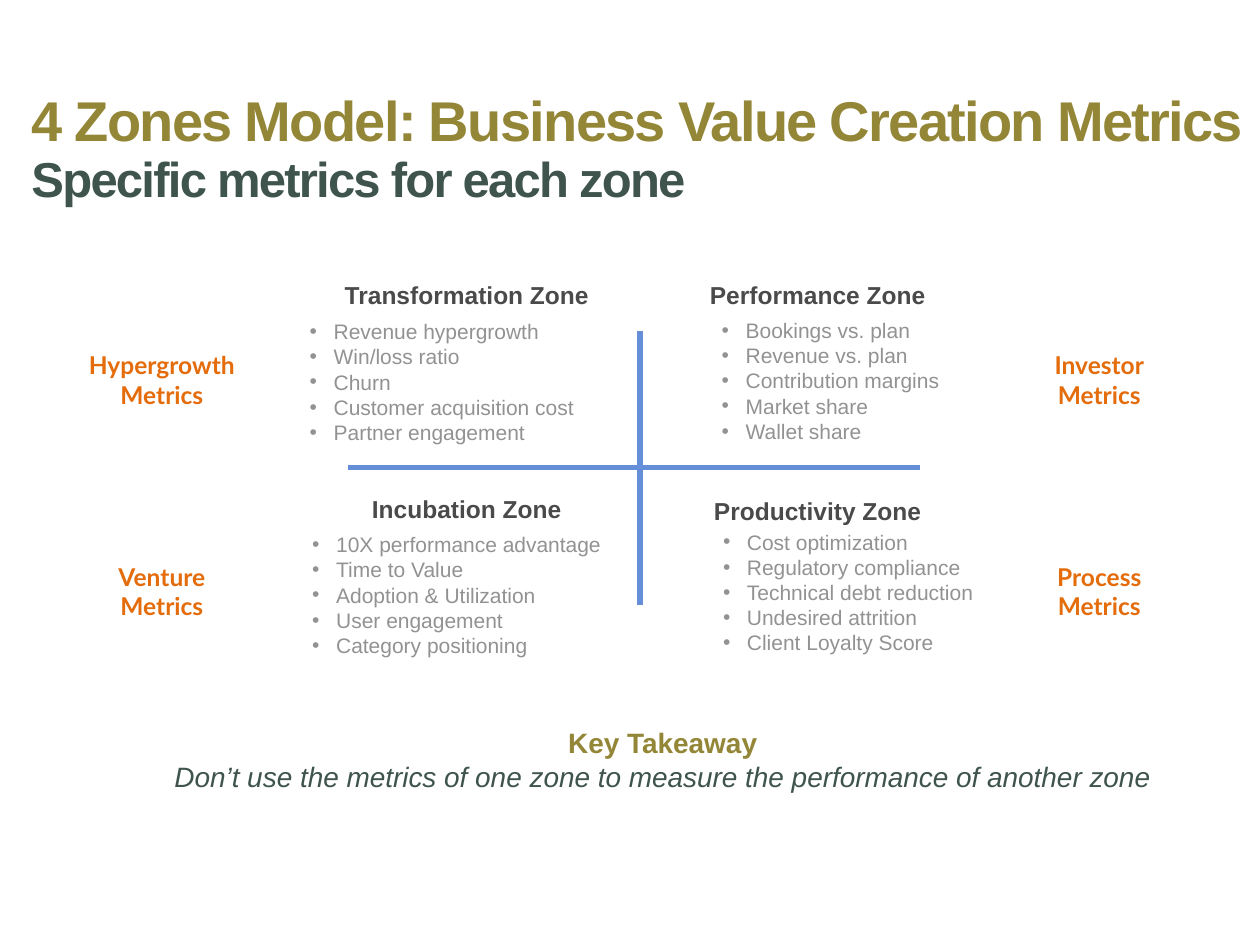
import dataclasses

import lxml.etree
import pptx
import pptx.dml.color
import pptx.enum.shapes
import pptx.enum.text
import pptx.oxml.ns
import pptx.util

ALIGN = pptx.enum.text.PP_ALIGN


@dataclasses.dataclass(frozen=True)
class Theme:
    sans: str = "Arial"
    accent_font: str = "Lato"
    olive: str = "938636"
    green: str = "3E544D"
    dark: str = "4A4A4A"
    gray: str = "929292"
    orange: str = "E46C0A"
    blue: str = "648ED8"
    white: str = "FFFFFF"
    title: int = 32
    subtitle: int = 28
    takeaway: int = 16
    heading: int = 14
    body: int = 12


def rgb(value):
    return pptx.dml.color.RGBColor.from_string(value)


def add_xml(parent, tag, **attributes):
    return lxml.etree.SubElement(parent, pptx.oxml.ns.qn(tag), **attributes)


class SlideBuilder:
    """Draws on a grid of 100 columns by 75 rows."""

    def __init__(self, presentation, theme):
        self.theme = theme
        self.column = presentation.slide_width / 100
        self.row = presentation.slide_height / 75
        self.slide = presentation.slides.add_slide(presentation.slide_layouts[6])

    def place(self, left, top, width, height):
        return (round(left * self.column), round(top * self.row),
                round(width * self.column), round(height * self.row))

    def text_box(self, left, top, width, height, wrap=True):
        box = self.slide.shapes.add_textbox(*self.place(left, top, width, height))
        box.text_frame.word_wrap = wrap
        return box

    def paragraph(self, box, index, align=ALIGN.LEFT):
        frame = box.text_frame
        paragraph = frame.add_paragraph() if index else frame.paragraphs[0]
        paragraph.alignment = align
        return paragraph

    def run(self, paragraph, text, size, color, bold=False, italic=False, name=None):
        run = paragraph.add_run()
        run.text = text
        run.font.name = name or self.theme.sans
        run.font.size = pptx.util.Pt(size)
        run.font.color.rgb = rgb(color)
        run.font.bold = bold
        run.font.italic = italic
        return run

    def title(self, title, subtitle):
        theme = self.theme
        box = self.text_box(2, 7.1, 98, 9)
        frame = box.text_frame
        frame.margin_left = frame.margin_right = pptx.util.Inches(0.05)
        lines = ((title, theme.title, theme.olive, 0),
                 (subtitle, theme.subtitle, theme.green, 2.5))
        for index, (text, size, color, space) in enumerate(lines):
            paragraph = self.paragraph(box, index)
            paragraph.line_spacing = 0.85
            paragraph.space_before = pptx.util.Pt(space)
            run = self.run(paragraph, text, size, color, bold=True)
            run.font._element.set("spc", "-100")

    def axis(self, start, end):
        points = self.place(*start, *end)
        line = self.slide.shapes.add_connector(
            pptx.enum.shapes.MSO_CONNECTOR.STRAIGHT, *points)
        line.line.color.rgb = rgb(self.theme.blue)
        line.line.width = pptx.util.Pt(3)
        add_xml(line._element.spPr, "a:effectLst")

    def heading(self, text, center, top, width, filled):
        box = self.text_box(center - width / 2, top, width, 3.4, wrap=False)
        if filled:
            box.fill.solid()
            box.fill.fore_color.rgb = rgb(self.theme.white)
        self.run(self.paragraph(box, 0, ALIGN.CENTER), text,
                 self.theme.heading, self.theme.dark, bold=True)

    def bullets(self, items, left, top):
        box = self.text_box(left, top, 26.4, 11.1)
        indent = pptx.util.Inches(0.19)
        for index, item in enumerate(items):
            paragraph = self.paragraph(box, index)
            properties = paragraph._p.get_or_add_pPr()
            properties.set("marL", str(indent))
            properties.set("indent", str(-indent))
            add_xml(properties, "a:buFont", typeface=self.theme.sans)
            add_xml(properties, "a:buChar", char="•")
            self.run(paragraph, item, self.theme.body, self.theme.gray)

    def category(self, words, center, top):
        width = 14.3
        box = self.text_box(center - width / 2, top, width, 5.7, wrap=False)
        for index, word in enumerate(words):
            self.run(self.paragraph(box, index, ALIGN.CENTER), word, self.theme.heading,
                     self.theme.orange, bold=True, name=self.theme.accent_font)

    def takeaway(self, label, message):
        theme = self.theme
        box = self.text_box(12.3, 57.1, 80.6, 6.4, wrap=False)
        self.run(self.paragraph(box, 0, ALIGN.CENTER), label,
                 theme.takeaway, theme.olive, bold=True)
        self.run(self.paragraph(box, 1, ALIGN.CENTER), message,
                 theme.takeaway, theme.green, italic=True)


# heading, its centre, top, width and fill; list left and top; metrics
ZONES = (
    (("Transformation Zone", 37.05, 21.7, 21.5, True), (23.6, 24.8),
     ("Revenue hypergrowth", "Win/loss ratio", "Churn",
      "Customer acquisition cost", "Partner engagement")),
    (("Performance Zone", 64.9, 21.7, 19.2, True), (56.3, 24.7),
     ("Bookings vs. plan", "Revenue vs. plan", "Contribution margins",
      "Market share", "Wallet share")),
    (("Incubation Zone", 37.05, 38.7, 17.1, False), (23.8, 41.7),
     ("10X performance advantage", "Time to Value", "Adoption & Utilization",
      "User engagement", "Category positioning")),
    (("Productivity Zone", 64.9, 38.9, 18.7, False), (56.4, 41.5),
     ("Cost optimization", "Regulatory compliance", "Technical debt reduction",
      "Undesired attrition", "Client Loyalty Score")),
)
CATEGORY_CENTERS = (12.85, 87.25)
CATEGORY_ROWS = ((27.3, ("Hypergrowth", "Investor")),
                 (44.1, ("Venture", "Process")))


def main():
    presentation = pptx.Presentation()
    presentation.slide_width = pptx.util.Inches(10)
    presentation.slide_height = pptx.util.Inches(7.5)
    builder = SlideBuilder(presentation, Theme())

    builder.title("4 Zones Model: Business Value Creation Metrics",
                  "Specific metrics for each zone")
    builder.axis((50.8, 26.3), (50.8, 48))
    builder.axis((73, 37.1), (27.6, 37.1))
    for heading, list_position, metrics in ZONES:
        builder.heading(*heading)
        builder.bullets(metrics, *list_position)
    for top, names in CATEGORY_ROWS:
        for center, name in zip(CATEGORY_CENTERS, names):
            builder.category((name, "Metrics"), center, top)
    builder.takeaway("Key Takeaway", "Don’t use the metrics of one zone to measure "
                     "the performance of another zone")

    presentation.save("out.pptx")


if __name__ == "__main__":
    main()
